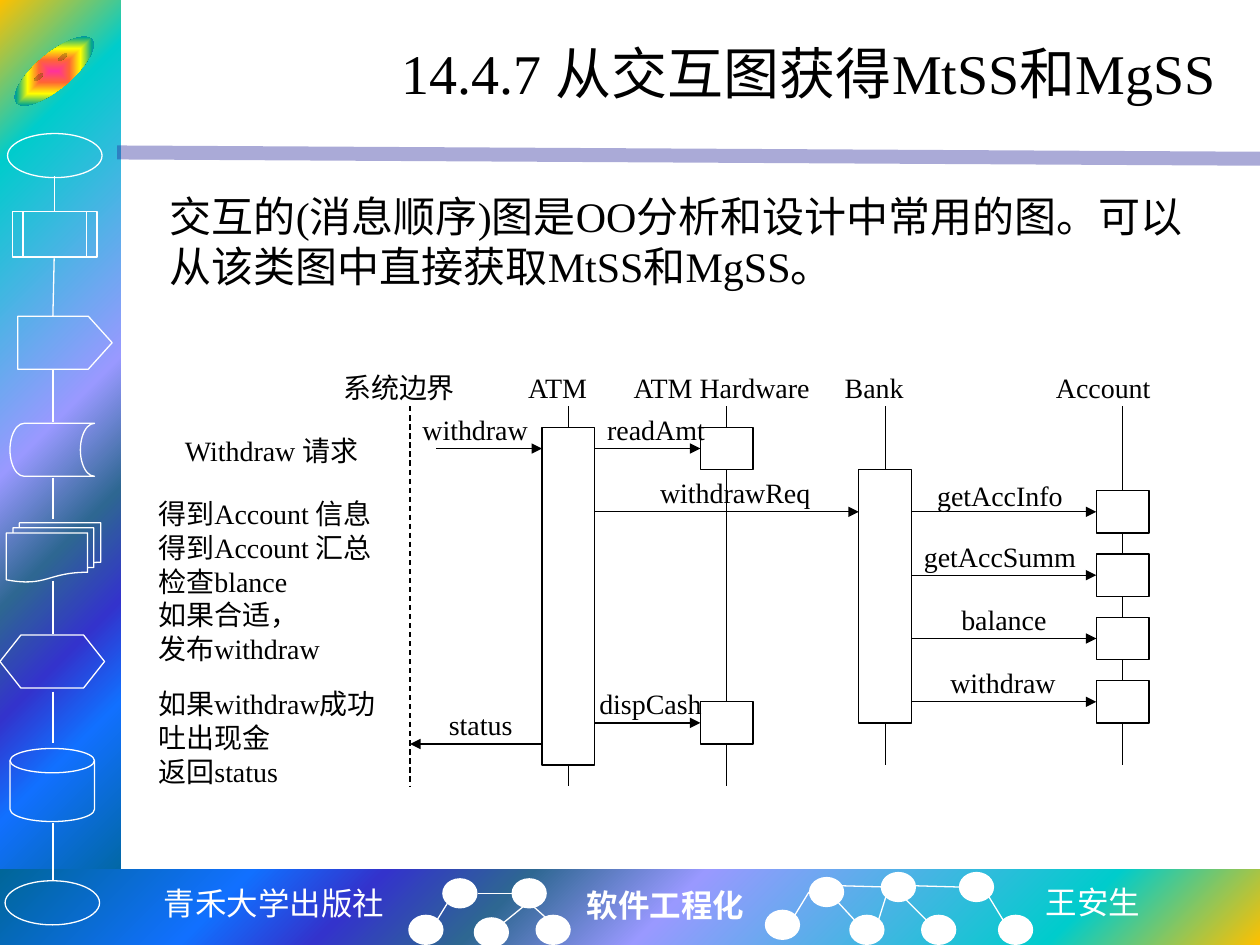
from dataclasses import dataclass

from lxml import etree
from pptx import Presentation
from pptx import util as u
from pptx.dml.color import RGBColor
from pptx.enum import dml, shapes, text
from pptx.oxml import parse_xml
from pptx.oxml.ns import nsdecls, qn

S = shapes.MSO_SHAPE
RIGHT, CENTER = text.PP_ALIGN.RIGHT, text.PP_ALIGN.CENTER
SERIF, WHITE, BLACK = "Times New Roman", "FFFFFF", "000000"
RAINBOW = [(0, "FFC000"), (16, "00CCCC"), (47, "9999FF"), (60, "2E6792"),
           (71, "3333CC"), (81, "1170FF"), (100, "006699")]
BADGE = [(0, "FF3399"), (25, "FF6633"), (50, "FFFF00"), (75, "01A78F"), (100, "3366FF")]

deck = Presentation()
deck.slide_width, deck.slide_height = u.Inches(10), u.Inches(7.5)
slide = deck.slides.add_slide(deck.slide_layouts[6])


@dataclass
class Grid:
    """A box on the slide, in inches, split into columns and rows."""
    left: float
    top: float
    width: float
    height: float
    cols: int
    rows: int

    def point(self, col, row):
        return (u.Inches(self.left + col * self.width / self.cols),
                u.Inches(self.top + row * self.height / self.rows))

    def box(self, col, row, cols, rows):
        x, y = self.point(col, row)
        right, bottom = self.point(col + cols, row + rows)
        return x, y, right - x, bottom - y


def color(hex_code):
    return RGBColor.from_string(hex_code)


def add_shape(grid, kind, cell, fill=None, line=None):
    shape = slide.shapes.add_shape(kind, *grid.box(*cell))
    shape.shadow.inherit = False
    if fill:
        shape.fill.solid()
        shape.fill.fore_color.rgb = color(fill)
    else:
        shape.fill.background()
    if line:
        shape.line.color.rgb = color(line)
        shape.line.width = u.Pt(0.75)
    else:
        shape.line.fill.background()
    return shape


def set_gradient(shape, stops, path, focus):
    left, top, right, bottom = (share * 1000 for share in focus)
    marks = "".join(f'<a:gs pos="{pos * 1000}"><a:srgbClr val="{code}"/></a:gs>'
                    for pos, code in stops)
    gradient = parse_xml(
        f'<a:gradFill {nsdecls("a")} rotWithShape="1"><a:gsLst>{marks}</a:gsLst>'
        f'<a:path path="{path}"><a:fillToRect l="{left}" t="{top}" r="{right}" b="{bottom}"/>'
        '</a:path></a:gradFill>')
    properties = shape.fill._xPr
    properties.replace(properties.find(qn("a:noFill")), gradient)


def add_line(grid, start, end, line=BLACK, width=0.75, arrow=False, dashed=False):
    link = slide.shapes.add_connector(shapes.MSO_CONNECTOR.STRAIGHT,
                                      *grid.point(*start), *grid.point(*end))
    link.line.color.rgb = color(line)
    link.line.width = u.Pt(width)
    if dashed:
        link.line.dash_style = dml.MSO_LINE.DASH
    if arrow:
        etree.SubElement(link.line._get_or_add_ln(), qn("a:tailEnd"), type="triangle")
    etree.SubElement(link._element.spPr, qn("a:effectLst"))
    return link


def add_text(grid, cell, paragraphs, size=16, font=SERIF, ink=BLACK, bold=False,
             align=None, wrap=True, anchor=text.MSO_ANCHOR.TOP):
    frame = slide.shapes.add_textbox(*grid.box(*cell)).text_frame
    frame.word_wrap = wrap
    frame.vertical_anchor = anchor
    for index, words in enumerate(paragraphs):
        paragraph = frame.paragraphs[0] if index == 0 else frame.add_paragraph()
        paragraph.alignment = align
        run = paragraph.add_run()
        run.text = words
        run.font.size, run.font.name, run.font.bold = u.Pt(size), font, bold
        run.font.color.rgb = color(ink)


def backdrop(page):
    side = add_shape(page, S.RECTANGLE, (0, 0, 96, 709))
    set_gradient(side, RAINBOW, "circle", (0, 0, 100, 100))
    foot = add_shape(page, S.RECTANGLE, (0, 690, 1000, 60))
    set_gradient(foot, RAINBOW, "circle", (100, 100, 0, 0))
    rule = add_line(page, (93, 121), (1000, 126), "262699", 8)
    tint = rule._element.spPr.find(".//" + qn("a:srgbClr"))
    etree.SubElement(tint, qn("a:alpha"), val="39000")


def sidebar(side):
    # Flowchart symbols, top to bottom
    for kind, cell in [
        (S.OVAL, (6, 106, 75, 35)),
        (S.FLOWCHART_PREDEFINED_PROCESS, (10, 168, 67, 36)),
        (S.PENTAGON, (14, 251, 75, 42)),
        (S.FLOWCHART_STORED_DATA, (8, 336, 67, 42)),
        (S.FLOWCHART_MULTIDOCUMENT, (5, 415, 75, 47)),
        (S.FLOWCHART_PREPARATION, (0, 504, 83, 42)),
        (S.FLOWCHART_MAGNETIC_DISK, (8, 594, 67, 58)),
        (S.OVAL, (4, 699, 75, 35)),
    ]:
        symbol = add_shape(side, kind, cell, line=WHITE)
        if kind == S.PENTAGON:
            symbol.adjustments[0] = 0.45
    # Links between the symbols
    for top, bottom in [(140, 168), (205, 251), (293, 335), (379, 412),
                        (461, 503), (549, 590), (653, 699)]:
        add_line(side, (43 if top < 251 else 42, top), (42 if top > 168 else 43, bottom), WHITE)
    # Tilted badge
    badge = add_shape(side, S.SMILEY_FACE, (4, 42.5, 78, 28))
    badge.adjustments[0] = 0.047
    badge.rotation = -40
    set_gradient(badge, BADGE, "rect", (50, 50, 50, 50))


def footer(foot):
    add_text(foot, (119, 7, 197, 40), ["青禾大学出版社"], 18, "Noto Sans Mono", WHITE,
             align=CENTER, wrap=False)
    add_text(foot, (456, 8, 146, 40), ["软件工程化"], 18, ink=WHITE, bold=True, wrap=False)
    add_text(foot, (820, 6, 96, 40), ["王安生"], 18, "Noto Sans CJK SC", WHITE, wrap=False)
    # Two small networks
    for col, row in [(351, 7), (406, 7), (324, 36), (376, 38), (425, 36),
                     (642, 6), (699, 2), (761, 2), (607, 32), (674, 36), (731, 36), (792, 36)]:
        add_shape(foot, S.OVAL, (col, row, 28, 24), fill=WHITE)
    for start, end in [
        ((347, 40), (355, 27)), ((400, 42), (416, 29)), ((406, 19), (379, 19)),
        ((434, 39), (424, 30)), ((678, 40), (665, 26)), ((735, 40), (715, 20)),
        ((796, 40), (785, 22)), ((697, 41), (703, 22)), ((726, 13), (761, 14)),
        ((631, 36), (642, 18)), ((668, 13), (703, 14)),
    ]:
        add_line(foot, start, end, WHITE)


def heading(page):
    add_text(page, (125, 17, 850, 81), ["14.4.7 从交互图获得MtSS和MgSS"], 32,
             align=RIGHT, anchor=text.MSO_ANCHOR.MIDDLE)
    add_text(page, (125, 146, 850, 91),
             ["交互的(消息顺序)图是OO分析和设计中常用的图。可以从该类图中直接获取MtSS和MgSS。"], 24)


def sequence_diagram(chart):
    # Steps on the left
    add_text(chart, (1, 3, 8, 3), ["Withdraw 请求"])
    add_text(chart, (0, 6, 10, 8), ["得到Account 信息", "得到Account 汇总", "检查blance",
                                    "如果合适\uff0c", "发布withdraw"])
    add_text(chart, (0, 15, 9.5, 6), ["如果withdraw成功", "吐出现金", "返回status"])
    # Participants
    for name, col, cols in [("系统边界", 7, 6), ("ATM", 14, 4), ("ATM Hardware", 18, 8),
                            ("Bank", 26, 4), ("Account", 34, 5)]:
        add_text(chart, (col, 0, cols, 3), [name])
    add_line(chart, (10, 2), (10, 20), dashed=True)
    # Lifelines, broken by activation boxes (first row, last row)
    for col, end, activations in [
        (16, 20, [(3, 19)]),
        (22, 20, [(3, 5), (16, 18)]),
        (28, 19, [(5, 17)]),
        (37, 19, [(6, 8), (9, 11), (12, 14), (15, 17)]),
    ]:
        row = 2
        for first, last in activations:
            add_line(chart, (col, row), (col, first))
            add_shape(chart, S.RECTANGLE, (col - 1, first, 2, last - first), line=BLACK)
            row = last
        add_line(chart, (col, row), (col, end))
    # Messages: arrow columns and row, then label column, row and width
    for words, start, end, row, col, top, cols in [
        ("withdraw", 11, 15, 4, 10, 2, 5),
        ("readAmt", 17, 21, 4, 17, 2, 5),
        ("withdrawReq", 17, 27, 7, 19, 5, 7),
        ("getAccInfo", 29, 36, 7, 29.5, 5.13, 6),
        ("getAccSumm", 29, 36, 10, 29, 8, 7),
        ("balance", 29, 36, 13, 29, 11, 7),
        ("withdraw", 29, 36, 16, 30, 14, 5),
        ("dispCash", 17, 21, 17, 16.7, 15, 5),
        ("status", 15, 10, 18, 11, 16, 4),
    ]:
        add_line(chart, (start, row), (end, row), arrow=True)
        add_text(chart, (col, top, cols, 3), [words],
                 align=CENTER if words == "balance" else None)


page = Grid(0, 0, 10, 7.5, 1000, 750)
backdrop(page)
sidebar(Grid(0, 0, 0.96, 7.5, 96, 750))
footer(Grid(0, 6.9, 10, 0.6, 1000, 60))
heading(page)
sequence_diagram(Grid(1.16, 2.89, 7.96, 3.35, 38, 20))
deck.save("out.pptx")
